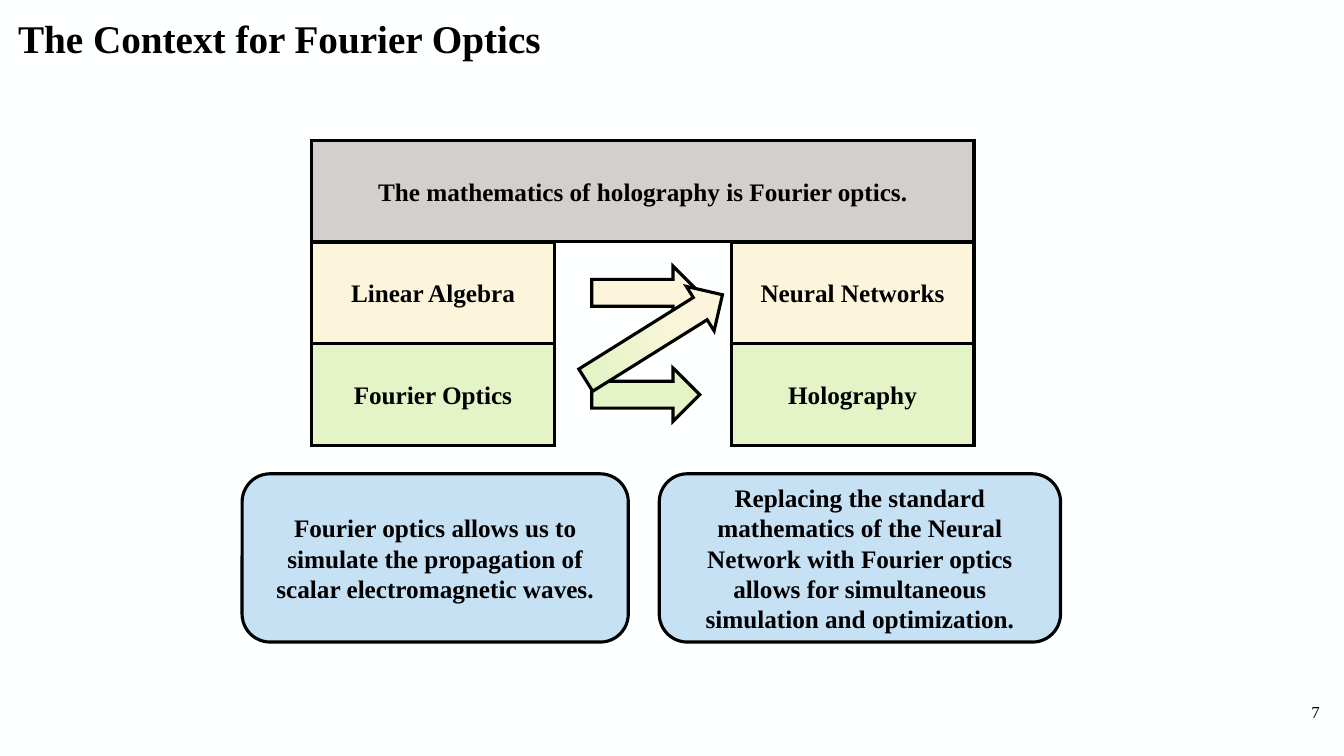
import pptx
import pptx.util
import pptx.dml.color
import pptx.enum.shapes
import pptx.enum.text
import pptx.oxml.ns
import lxml.etree
from dataclasses import dataclass

Cm, Pt = pptx.util.Cm, pptx.util.Pt
Kind = pptx.enum.shapes.MSO_SHAPE
Align = pptx.enum.text.PP_ALIGN
Anchor = pptx.enum.text.MSO_ANCHOR


@dataclass(frozen=True)
class Theme:
    font: str = "Times New Roman"
    back: str = "FEFFFF"
    ink: str = "000000"
    gray: str = "D2CFCD"
    cream: str = "FDF5DB"
    green: str = "E5F4C7"
    blue: str = "C6E0F4"
    head: int = 28
    body: int = 18
    foot: int = 12
    edge: float = 2.25


THEME = Theme()


def color(code):
    return pptx.dml.color.RGBColor.from_string(code)


def write(frame, text, size, bold=True, align=Align.CENTER, anchor=Anchor.MIDDLE):
    frame.word_wrap = True
    frame.vertical_anchor = anchor
    para = frame.paragraphs[0]
    para.alignment = align
    run = para.add_run()
    run.text = text
    run.font.name = THEME.font
    run.font.size = Pt(size)
    run.font.bold = bold
    run.font.color.rgb = color(THEME.ink)


def block(slide, kind, box, fill, text=""):
    shape = slide.shapes.add_shape(kind, *map(Cm, box))
    shape.shadow.inherit = False
    shape.fill.solid()
    shape.fill.fore_color.rgb = color(fill)
    shape.line.color.rgb = color(THEME.ink)
    shape.line.width = Pt(THEME.edge)
    # Sharp outline corners
    edge = shape.line._get_or_add_ln()
    lxml.etree.SubElement(edge, pptx.oxml.ns.qn("a:miter"), lim="800000")
    if text:
        write(shape.text_frame, text, THEME.body)
    return shape


def header(slide, box):
    title = slide.shapes.title
    title.left, title.top, title.width, title.height = map(Cm, box)
    write(title.text_frame, "The Context for Fourier Optics", THEME.head,
          align=Align.LEFT, anchor=Anchor.TOP)
    title.text_frame.auto_size = pptx.enum.text.MSO_AUTO_SIZE.SHAPE_TO_FIT_TEXT


def number(slide, box):
    frame = slide.shapes.add_textbox(*map(Cm, box)).text_frame
    write(frame, "7", THEME.foot, bold=False, align=Align.RIGHT)


def bridge(slide, box):
    left, top, width, height = box
    row, cell = height / 3, 6.12
    gap = left + cell

    # Banner over two columns of topics
    block(slide, Kind.RECTANGLE, (left, top, width, row), THEME.gray,
          "The mathematics of holography is Fourier optics.")
    pairs = [("Linear Algebra", "Neural Networks", THEME.cream),
             ("Fourier Optics", "Holography", THEME.green)]
    for step, (start, end, fill) in enumerate(pairs, 1):
        y = top + step * row
        block(slide, Kind.RECTANGLE, (left, y, cell, row), fill, start)
        block(slide, Kind.RECTANGLE, (left + width - cell, y, cell, row), fill, end)

    # Level arrows, centred on their rows
    wide, tall = 2.72, 1.35
    for step, (_, _, fill) in enumerate(pairs, 1):
        y = top + step * row + (row - tall) / 2
        block(slide, Kind.RIGHT_ARROW, (gap + 0.94, y, wide, tall), fill)

    # Slanted arrow from optics to networks
    slant = block(slide, Kind.RIGHT_ARROW,
                  (gap + 0.48, top + 2 * row - 0.82, 4.06, 1.32), THEME.green)
    slant.rotation = 328
    slant.fill.gradient()
    slant.fill.gradient_angle = 0
    stops = [(0.17, THEME.green), (0.69, THEME.cream)]
    for stop, (place, code) in zip(slant.fill.gradient_stops, stops):
        stop.position = place
        stop.color.rgb = color(code)


def notes(slide, box):
    left, top, width, height = box
    first, last = 9.73, 10.11
    block(slide, Kind.ROUNDED_RECTANGLE, (left, top, first, height), THEME.blue,
          "Fourier optics allows us to simulate the propagation of "
          "scalar electromagnetic waves.")
    block(slide, Kind.ROUNDED_RECTANGLE,
          (left + width - last, top, last, height), THEME.blue,
          "Replacing the standard mathematics of the Neural Network with "
          "Fourier optics allows for simultaneous simulation and optimization.")


def main():
    deck = pptx.Presentation()
    deck.slide_width, deck.slide_height = Cm(33.86), Cm(19.05)
    slide = deck.slides.add_slide(deck.slide_layouts[5])
    slide.background.fill.solid()
    slide.background.fill.fore_color.rgb = color(THEME.back)

    number(slide, (25.88, 17.42, 7.62, 1.02))
    header(slide, (0.2, 0.23, 16.41, 1.45))
    bridge(slide, (7.85, 3.53, 16.69, 7.7))
    notes(slide, (6.1, 11.94, 20.62, 4.24))
    deck.save("out.pptx")


if __name__ == "__main__":
    main()
